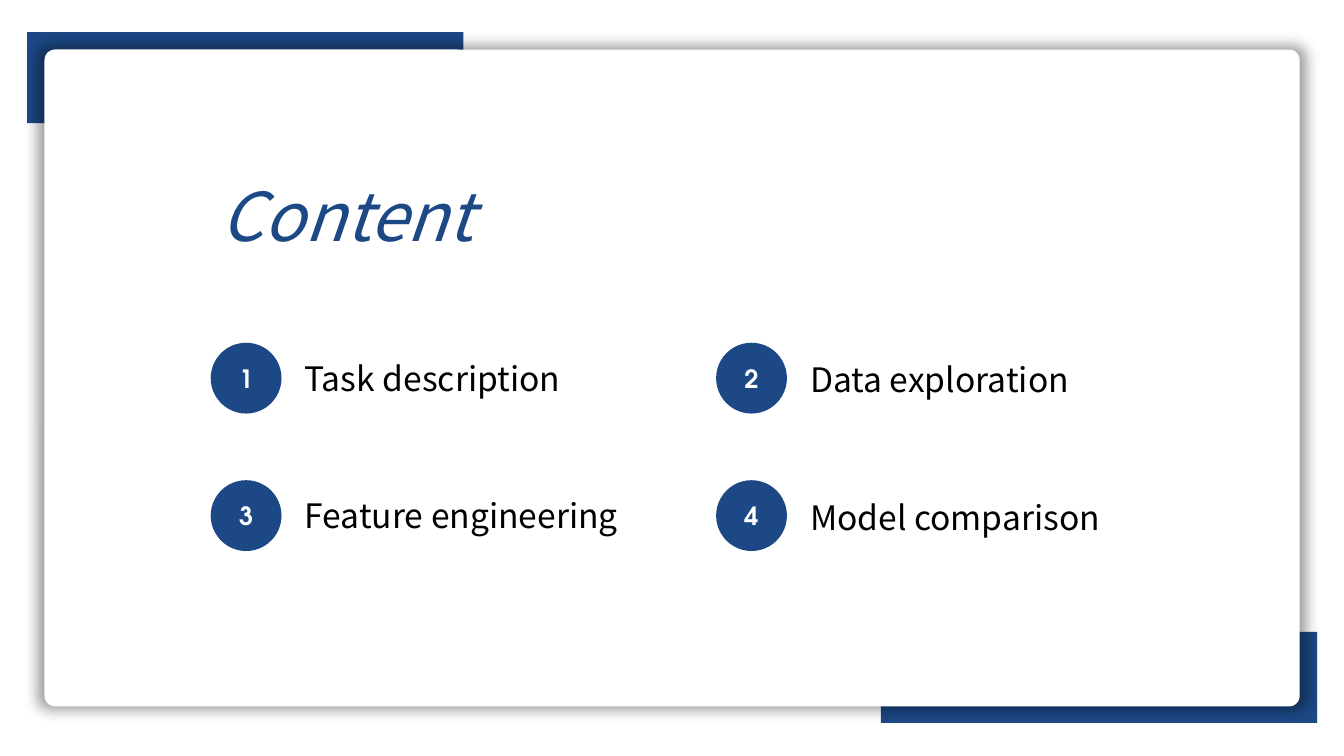
import dataclasses
import pptx
import pptx.dml.color
import pptx.enum.shapes
import pptx.enum.text
import pptx.oxml
import pptx.oxml.ns
import pptx.util

Pt = pptx.util.Pt
RGB = pptx.dml.color.RGBColor
Kind = pptx.enum.shapes.MSO_SHAPE
Align = pptx.enum.text.PP_ALIGN
Anchor = pptx.enum.text.MSO_ANCHOR

BLUE = RGB(0x1C, 0x48, 0x85)
WHITE = RGB(0xFF, 0xFF, 0xFF)
BLACK = RGB(0, 0, 0)
SANS = "Noto Sans CJK SC"
ROUND = "TeX Gyre Adventor"

TOPICS = ["Task description", "Data exploration",
          "Feature engineering", "Model comparison"]
LEFT, TOP = 150.5, 244.8
STEP_X, STEP_Y = 361, 98.2
DISC = 50.6


@dataclasses.dataclass
class Box:
    left: float
    top: float
    width: float
    height: float

    def place(self) -> list:
        return [Pt(v) for v in (self.left, self.top, self.width, self.height)]


@dataclasses.dataclass
class Style:
    font: str
    size: float
    color: RGB
    align: Align
    bold: bool = False
    italic: bool = False


TITLE = Style(SANS, 48, BLUE, Align.JUSTIFY, italic=True)
LABEL = Style(SANS, 24, BLACK, Align.JUSTIFY)
NUMBER = Style(ROUND, 18, WHITE, Align.CENTER, bold=True)


def write(shape, text: str, style: Style) -> None:
    frame = shape.text_frame
    frame.text = text
    frame.word_wrap = True
    para = frame.paragraphs[0]
    para.alignment = style.align
    font = para.runs[0].font
    font.name, font.size = style.font, Pt(style.size)
    font.bold, font.italic = style.bold, style.italic
    font.color.rgb = style.color


def add_text(slide, box: Box, text: str, style: Style) -> None:
    write(slide.shapes.add_textbox(*box.place()), text, style)


def add_shape(slide, kind: Kind, box: Box, fill: RGB):
    shape = slide.shapes.add_shape(kind, *box.place())
    shape.shadow.inherit = False
    shape.fill.solid()
    shape.fill.fore_color.rgb = fill
    shape.line.fill.background()
    return shape


def add_glow(shape) -> None:
    """Give the shape a soft, centred shadow on all sides."""
    effects = shape._element.spPr.find(pptx.oxml.ns.qn("a:effectLst"))
    effects.append(pptx.oxml.parse_xml(
        f'<a:outerShdw {pptx.oxml.ns.nsdecls("a")} blurRad="{Pt(10)}" '
        'sx="101000" sy="101000" algn="ctr" rotWithShape="0">'
        '<a:srgbClr val="000000"><a:alpha val="40000"/></a:srgbClr>'
        '</a:outerShdw>'))


def add_topic(slide, index: int, text: str) -> None:
    row, col = divmod(index, 2)
    left, top = LEFT + col * STEP_X, TOP + row * STEP_Y
    disc = add_shape(slide, Kind.OVAL, Box(left, top, DISC, DISC), BLUE)
    disc.text_frame.vertical_anchor = Anchor.MIDDLE
    write(disc, str(index + 1), NUMBER)
    add_text(slide, Box(left + 60, top + 7.2 + col, 291.6, 36), text, LABEL)


def main() -> None:
    deck = pptx.Presentation()
    deck.slide_width, deck.slide_height = Pt(960), Pt(540)
    slide = deck.slides.add_slide(deck.slide_layouts[6])

    for left, top in ((629.2, 451.4), (19.4, 23)):
        add_shape(slide, Kind.RECTANGLE, Box(left, top, 311.6, 65), BLUE)
    panel = add_shape(slide, Kind.ROUNDED_RECTANGLE,
                      Box(31.8, 35.4, 896.6, 469.2), WHITE)
    panel.adjustments[0] = 0.016
    add_glow(panel)

    add_text(slide, Box(LEFT, 121, 216.8, 65.4), "Content", TITLE)
    for index, text in enumerate(TOPICS):
        add_topic(slide, index, text)
    deck.save("out.pptx")


if __name__ == "__main__":
    main()
